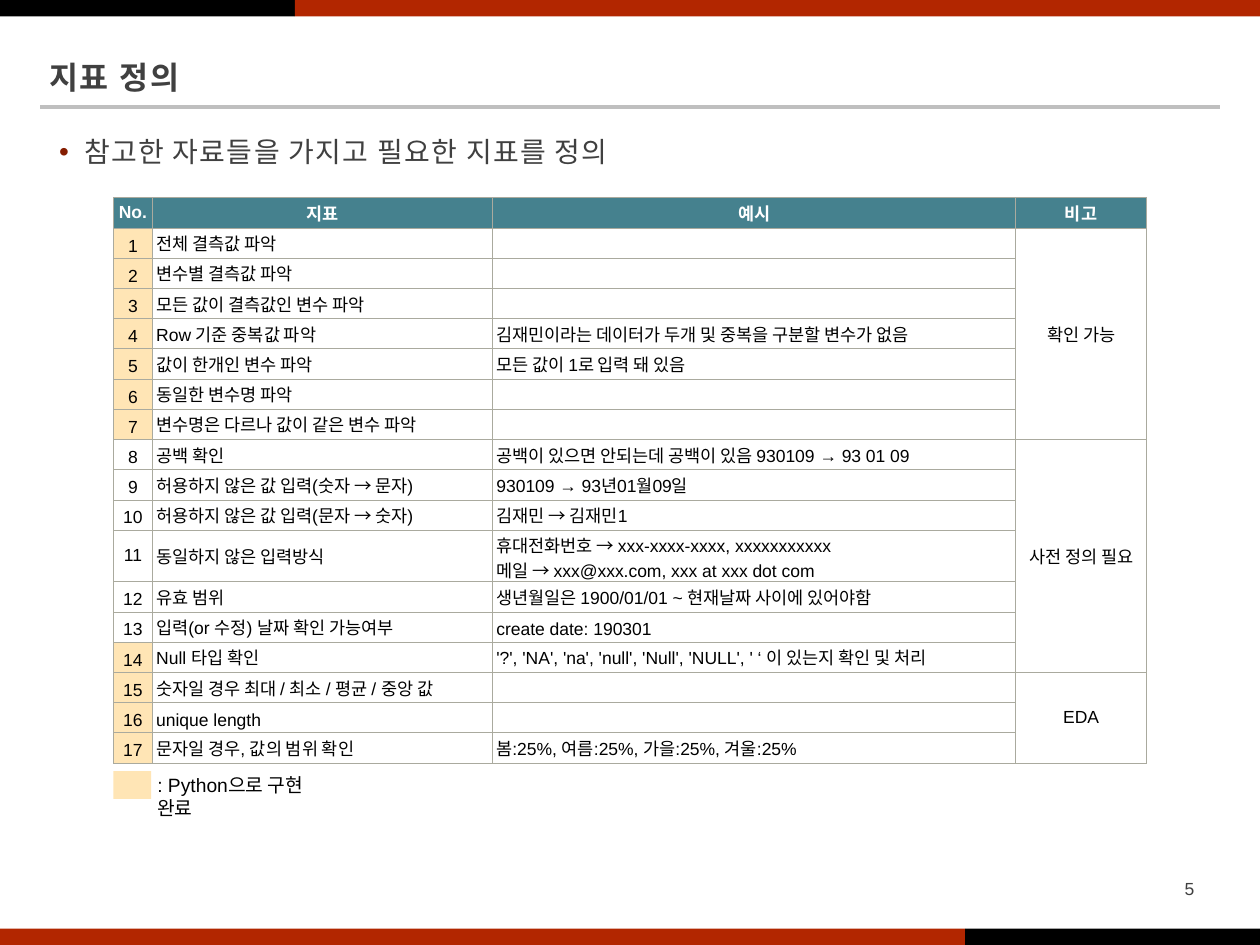
from lxml import etree
from pptx import Presentation
from pptx import util as u
from pptx.dml.color import RGBColor
from pptx.enum import shapes, text
from pptx.oxml import ns

W, H = 10, 7.5
BAR = 0.13
COLORS = dict(black="000000", red="B22600", text="404040", rule="BFBFBF",
              bullet="851D00", head="45818E", done="FFE5B5",
              border="AAAA9E", white="FFFFFF")
COLS = [0.31, 2.7, 4.15, 1.04]
ROW, TALL_ROW = 0.24, 0.41
HEADER = ["No.", "지표", "예시", "비고"]
METRICS = [
    ("전체 결측값 파악", ""),
    ("변수별 결측값 파악", ""),
    ("모든 값이 결측값인 변수 파악", ""),
    ("Row 기준 중복값 파악", "김재민이라는 데이터가 두개 및 중복을 구분할 변수가 없음"),
    ("값이 한개인 변수 파악", "모든 값이 1로 입력 돼 있음"),
    ("동일한 변수명 파악", ""),
    ("변수명은 다르나 값이 같은 변수 파악", ""),
    ("공백 확인", "공백이 있으면 안되는데 공백이 있음 930109 → 93 01 09"),
    ("허용하지 않은 값 입력(숫자 → 문자)", "930109 → 93년01월09일"),
    ("허용하지 않은 값 입력(문자 → 숫자)", "김재민 → 김재민1"),
    ("동일하지 않은 입력방식",
     "휴대전화번호 → xxx-xxxx-xxxx, xxxxxxxxxxx\n메일 → xxx@xxx.com, xxx at xxx dot com"),
    ("유효 범위", "생년월일은 1900/01/01 ~ 현재날짜 사이에 있어야함"),
    ("입력(or 수정) 날짜 확인 가능여부", "create date: 190301"),
    ("Null 타입 확인", "'?', 'NA', 'na', 'null', 'Null', 'NULL', ' ‘ 이 있는지 확인 및 처리"),
    ("숫자일 경우 최대 / 최소 / 평균 / 중앙 값 ", ""),
    ("unique length", ""),
    ("문자일 경우, 값의 범위 확인", "봄:25%, 여름:25%, 가을:25%, 겨울:25%"),
]
NOTES = {1: ("확인 가능", 7), 8: ("사전 정의 필요", 7), 15: ("EDA", 3)}
DONE = {*range(1, 8), *range(14, 18)}
TALL = 11


def rgb(name):
    return RGBColor.from_string(COLORS[name])


def inches(*values):
    return [u.Inches(v) for v in values]


def add_run(p, content, size, color, font="Arial", bold=False, spacing=0):
    r = p.add_run()
    r.text = content
    r.font.size, r.font.name, r.font.bold = u.Pt(size), font, bold
    r.font.color.rgb = rgb(color)
    if spacing:
        r.font._element.set("spc", str(round(spacing * 100)))


def add_rect(s, box, color):
    sp = s.shapes.add_shape(shapes.MSO_SHAPE.RECTANGLE, *inches(*box))
    sp.shadow.inherit = False
    sp.fill.solid()
    sp.fill.fore_color.rgb = rgb(color)
    sp.line.fill.background()


def add_text(s, box):
    tf = s.shapes.add_textbox(*inches(*box)).text_frame
    tf.word_wrap = True
    return tf.paragraphs[0]


def add_bar(s, top, split, left_color, right_color):
    add_rect(s, (0, top, split, BAR), left_color)
    add_rect(s, (split, top, W - split, BAR), right_color)


def add_frame(s, number):
    add_bar(s, 0, 2.34, "black", "red")
    add_bar(s, H - BAR, W - 2.34, "red", "black")
    p = add_text(s, (9.21, 6.92, 0.46, 0.27))
    p.alignment = text.PP_ALIGN.CENTER
    add_run(p, number, 10, "text")
    rule = s.shapes.add_connector(shapes.MSO_CONNECTOR.STRAIGHT,
                                  *inches(0.32, 0.85, W - 0.32, 0.85))
    rule.line.color.rgb = rgb("rule")
    rule.line.width = u.Pt(2.25)
    etree.SubElement(rule._element.spPr, ns.qn("a:effectLst"))


def set_title(s, box, content):
    sp = s.shapes.title
    sp.left, sp.top, sp.width, sp.height = inches(*box)
    tf = sp.text_frame
    tf.auto_size = text.MSO_AUTO_SIZE.NONE
    tf.vertical_anchor = text.MSO_ANCHOR.MIDDLE
    p = tf.paragraphs[0]
    p.alignment, p.line_spacing = text.PP_ALIGN.LEFT, 0.9
    add_run(p, content, 18, "text", "Lato", True, 1)


def add_bullet(s, box, content):
    p = add_text(s, box)
    p.line_spacing, p.space_before = 0.9, u.Pt(10)
    pPr = p._p.get_or_add_pPr()
    pPr.set("marL", str(u.Inches(0.25)))
    pPr.set("indent", str(u.Inches(-0.2)))
    color = etree.SubElement(pPr, ns.qn("a:buClr"))
    etree.SubElement(color, ns.qn("a:srgbClr"), val=COLORS["bullet"])
    etree.SubElement(pPr, ns.qn("a:buFont"), typeface="Arial")
    etree.SubElement(pPr, ns.qn("a:buChar"), char="•")
    add_run(p, content, 16, "text", "Lato", spacing=0.8)


def format_cell(cell, content, fill=None, centered=False, middle=False, header=False):
    cell.margin_left = cell.margin_right = u.Inches(0.03)
    cell.margin_top = cell.margin_bottom = u.Inches(0.02)
    cell.vertical_anchor = text.MSO_ANCHOR.MIDDLE if middle else text.MSO_ANCHOR.BOTTOM
    tcPr = cell._tc.get_or_add_tcPr()
    for side in ("lnL", "lnR", "lnT", "lnB"):
        ln = etree.SubElement(tcPr, ns.qn("a:" + side), w=str(u.Pt(0.5)))
        solid = etree.SubElement(ln, ns.qn("a:solidFill"))
        etree.SubElement(solid, ns.qn("a:srgbClr"), val=COLORS["border"])
    if fill:
        cell.fill.solid()
        cell.fill.fore_color.rgb = rgb(fill)
    else:
        cell.fill.background()
    p = cell.text_frame.paragraphs[0]
    p.alignment = text.PP_ALIGN.CENTER if centered else text.PP_ALIGN.LEFT
    for i, line in enumerate(content.split("\n") if content else []):
        if i:
            p.add_line_break()
        add_run(p, line, 10, "white" if header else "black", bold=header)
    etree.SubElement(p._p, ns.qn("a:endParaRPr"), sz="1000")


def add_metrics(s, left, top):
    heights = [TALL_ROW if i == TALL else ROW for i in range(len(METRICS) + 1)]
    table = s.shapes.add_table(len(heights), len(COLS),
                               *inches(left, top, sum(COLS), sum(heights))).table
    table.first_row = table.horz_banding = False
    for col, width in zip(table.columns, COLS):
        col.width = u.Inches(width)
    for row, height in zip(table.rows, heights):
        row.height = u.Inches(height)
    for c, label in enumerate(HEADER):
        format_cell(table.cell(0, c), label, "head", True, True, True)
    for n, (metric, example) in enumerate(METRICS, 1):
        note, span = NOTES.get(n, ("", 1))
        format_cell(table.cell(n, 0), str(n), "done" if n in DONE else None, True, n == TALL)
        format_cell(table.cell(n, 1), metric, middle=n == TALL)
        format_cell(table.cell(n, 2), example)
        format_cell(table.cell(n, 3), note, centered=True, middle=True)
        if span > 1:
            table.cell(n, 3).merge(table.cell(n + span - 1, 3))


def add_legend(s, left, top, content):
    add_rect(s, (left, top, 0.3, 0.22), "done")
    add_run(add_text(s, (left + 0.25, top - 0.03, 1.6, 0.29)), content, 11, "black")


prs = Presentation()
prs.slide_width, prs.slide_height = inches(W, H)
s = prs.slides.add_slide(prs.slide_layouts[5])
add_frame(s, "5")
add_bullet(s, (0.32, 1.05, 9.35, 1.72), "참고한 자료들을 가지고 필요한 지표를 정의")
set_title(s, (0.29, 0.36, 8.62, 0.54), "지표 정의")
add_metrics(s, 0.9, 1.57)
add_legend(s, 0.9, 6.12, ": Python으로 구현 완료")
prs.save("out.pptx")
